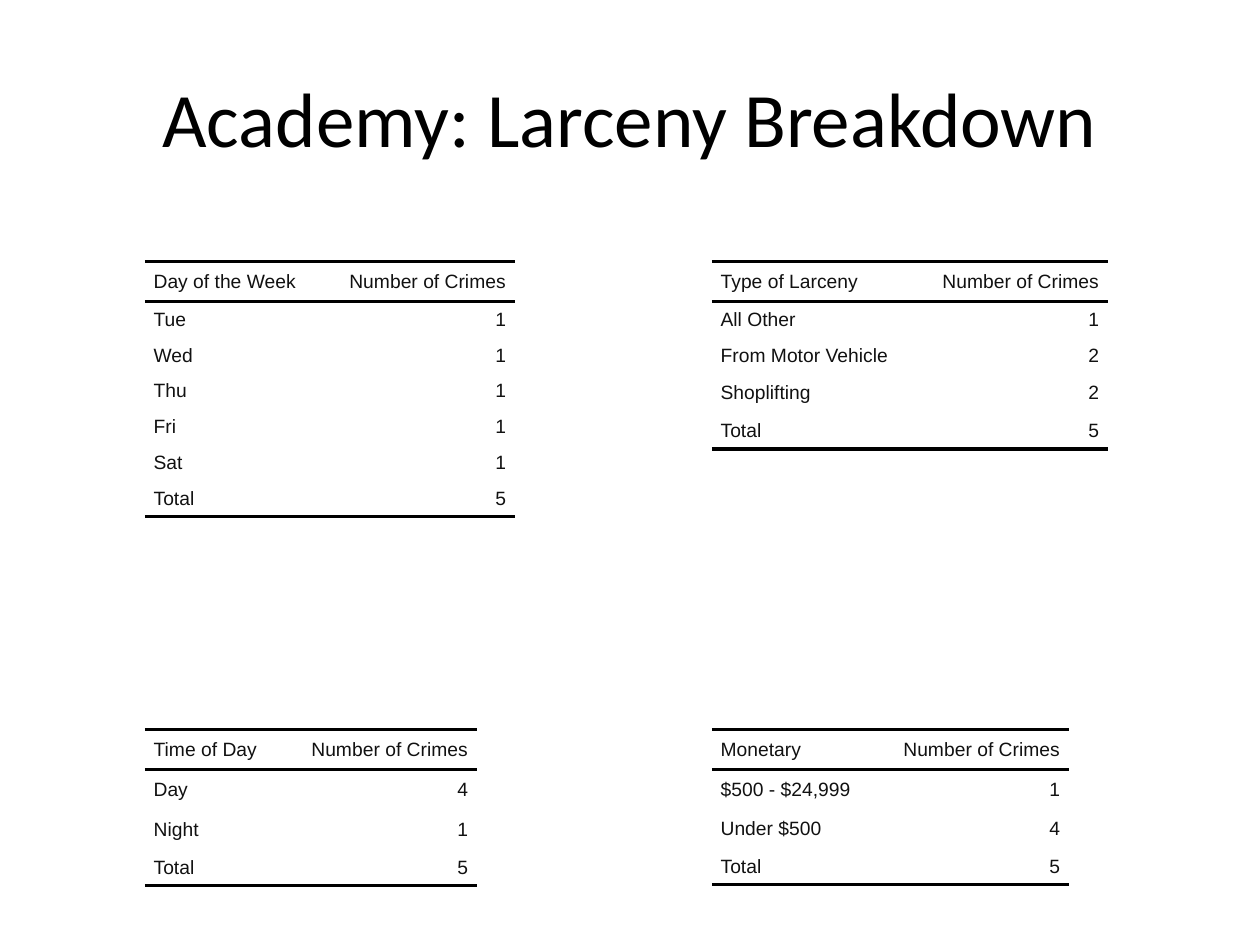
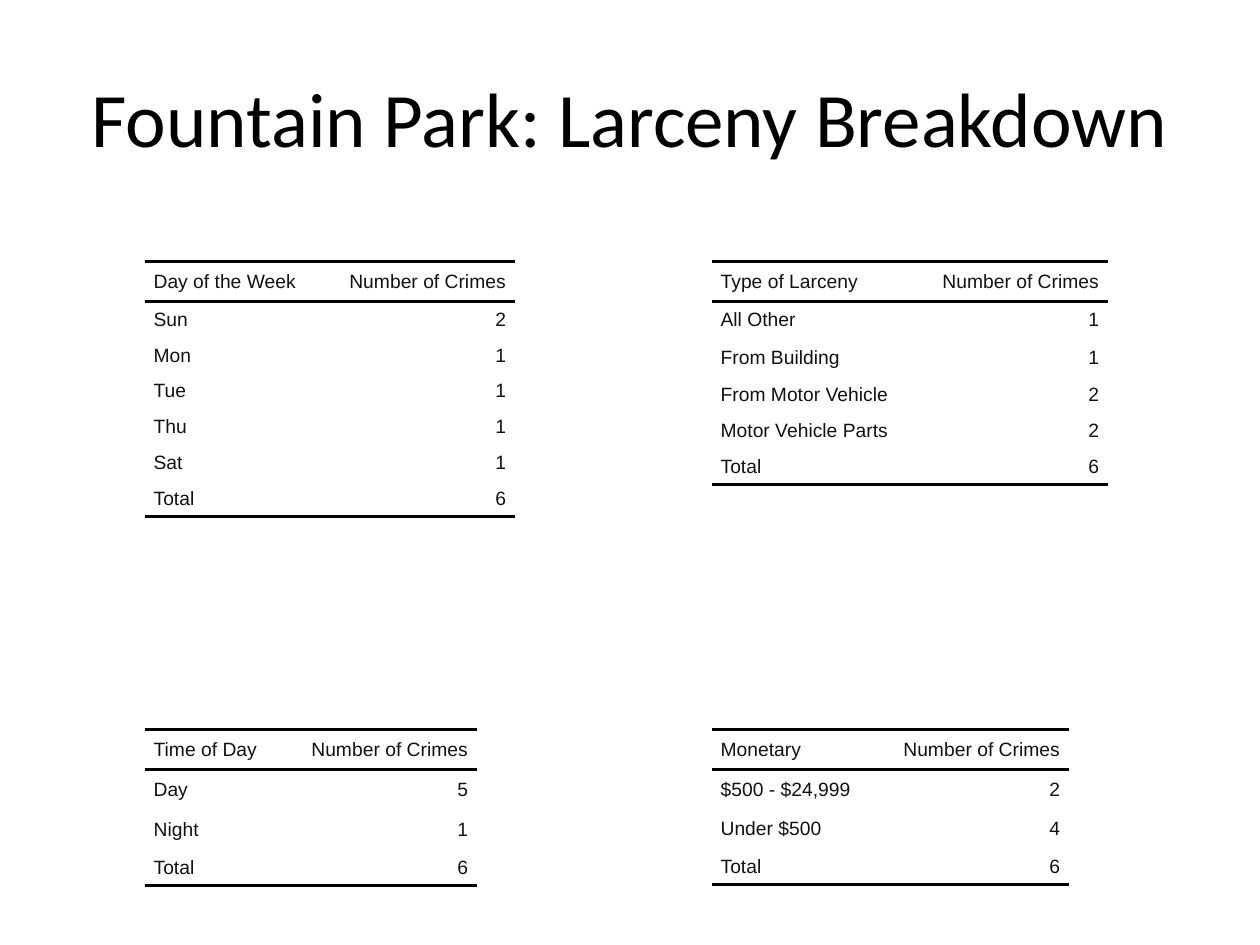
from dataclasses import dataclass

from lxml.etree import SubElement
from pptx import Presentation
from pptx.dml.color import RGBColor
from pptx.enum.text import MSO_ANCHOR as Anchor, PP_ALIGN as Align
from pptx.oxml.ns import qn
from pptx.util import Pt

COUNT_HEADING = "Number of Crimes"
DAY, TIME, KIND, MONEY = "Day of the Week", "Time of Day", "Type of Larceny", "Monetary"

NEIGHBORHOODS = {
    "Academy": {
        DAY: [("Tue", 1), ("Wed", 1), ("Thu", 1), ("Fri", 1), ("Sat", 1)],
        TIME: [("Day", 4), ("Night", 1)],
        KIND: [("All Other", 1), ("From Motor Vehicle", 2), ("Shoplifting", 2)],
        MONEY: [("$500 - $24,999", 1), ("Under $500", 4)],
    },
    "Fountain Park": {
        DAY: [("Sun", 2), ("Mon", 1), ("Tue", 1), ("Thu", 1), ("Sat", 1)],
        TIME: [("Day", 5), ("Night", 1)],
        KIND: [("All Other", 1), ("From Building", 1),
               ("From Motor Vehicle", 2), ("Motor Vehicle Parts", 2)],
        MONEY: [("$500 - $24,999", 2), ("Under $500", 4)],
    },
}


@dataclass(frozen=True)
class Theme:
    title_font: str = "Calibri"
    table_font: str = "Arial"
    title_size: float = 44
    table_size: float = 11
    title_color: str = "000000"
    table_color: str = "111111"
    rule_color: str = "000000"
    rule_width: float = 2


THEME = Theme()
SLIDE_SIZE = (720, 540)
TITLE_BOX = (36, 21.6, 648, 90)
LEFT, RIGHT = 82.8, 406.8
UPPER, LOWER = 149.5, 417
# heading: left, top, width of the label column
PLACES = {
    DAY: (LEFT, UPPER, 101.7),
    TIME: (LEFT, LOWER, 80),
    KIND: (RIGHT, UPPER, 116.6),
    MONEY: (RIGHT, LOWER, 94.3),
}
COUNT_WIDTH = 109.7
CELL_INSET = 5
ROW_HEIGHT, HEADER_HEIGHT = 20.5, 22.8
TALL_ROWS = {"Shoplifting": 22.8, "From Building": 22.8, "Day": 22.8,
             "Night": 22.8, "$500 - $24,999": 22.8, "Under $500": 22.2}
NO_GRID_STYLE = "{2D5ABB26-0587-4C30-8999-92F81FD0307C}"


def write(frame, text, *, font, size, color, align):
    frame.word_wrap = True
    paragraph = frame.paragraphs[0]
    paragraph.alignment = align
    run = paragraph.add_run()
    run.text = text
    run.font.name = font
    run.font.size = Pt(size)
    run.font.color.rgb = RGBColor.from_string(color)


def rule(cell, edge):
    """Draw a line on one edge of a cell: lnT is the top, lnB the bottom."""
    properties = cell._tc.get_or_add_tcPr()
    line = SubElement(properties, qn(f"a:{edge}"), w=str(Pt(THEME.rule_width)))
    fill = SubElement(line, qn("a:solidFill"))
    SubElement(fill, qn("a:srgbClr"), val=THEME.rule_color)


def add_title(slide, text):
    frame = slide.shapes.add_textbox(*map(Pt, TITLE_BOX)).text_frame
    frame.vertical_anchor = Anchor.MIDDLE
    write(frame, text, font=THEME.title_font, size=THEME.title_size,
          color=THEME.title_color, align=Align.CENTER)


def add_breakdown(slide, heading, counts):
    left, top, label_width = PLACES[heading]
    total = sum(count for _, count in counts)
    rows = [(heading, COUNT_HEADING), *counts, ("Total", total)]
    heights = [HEADER_HEIGHT] + [TALL_ROWS.get(label, ROW_HEIGHT) for label, _ in rows[1:]]
    widths = (label_width, COUNT_WIDTH)

    table = slide.shapes.add_table(len(rows), len(widths), Pt(left), Pt(top),
                                   Pt(sum(widths)), Pt(sum(heights))).table
    table.first_row = table.horz_banding = False
    table._tbl.tblPr.find(qn("a:tableStyleId")).text = NO_GRID_STYLE
    for column, width in zip(table.columns, widths):
        column.width = Pt(width)

    for r, (values, height) in enumerate(zip(rows, heights)):
        table.rows[r].height = Pt(height)
        for c, (value, align) in enumerate(zip(values, (Align.LEFT, Align.RIGHT))):
            cell = table.cell(r, c)
            cell.margin_left = cell.margin_right = Pt(CELL_INSET)
            cell.margin_top = cell.margin_bottom = 0
            cell.vertical_anchor = Anchor.MIDDLE
            write(cell.text_frame, str(value), font=THEME.table_font,
                  size=THEME.table_size, color=THEME.table_color, align=align)
            if r == 0:
                rule(cell, "lnT")
            if r in (0, len(rows) - 1):
                rule(cell, "lnB")
            cell.fill.background()


def main():
    deck = Presentation()
    deck.slide_width, deck.slide_height = map(Pt, SLIDE_SIZE)
    for neighborhood, breakdowns in NEIGHBORHOODS.items():
        slide = deck.slides.add_slide(deck.slide_layouts[6])
        add_title(slide, f"{neighborhood}: Larceny Breakdown")
        for heading, counts in breakdowns.items():
            add_breakdown(slide, heading, counts)
    deck.save("out.pptx")


if __name__ == "__main__":
    main()
